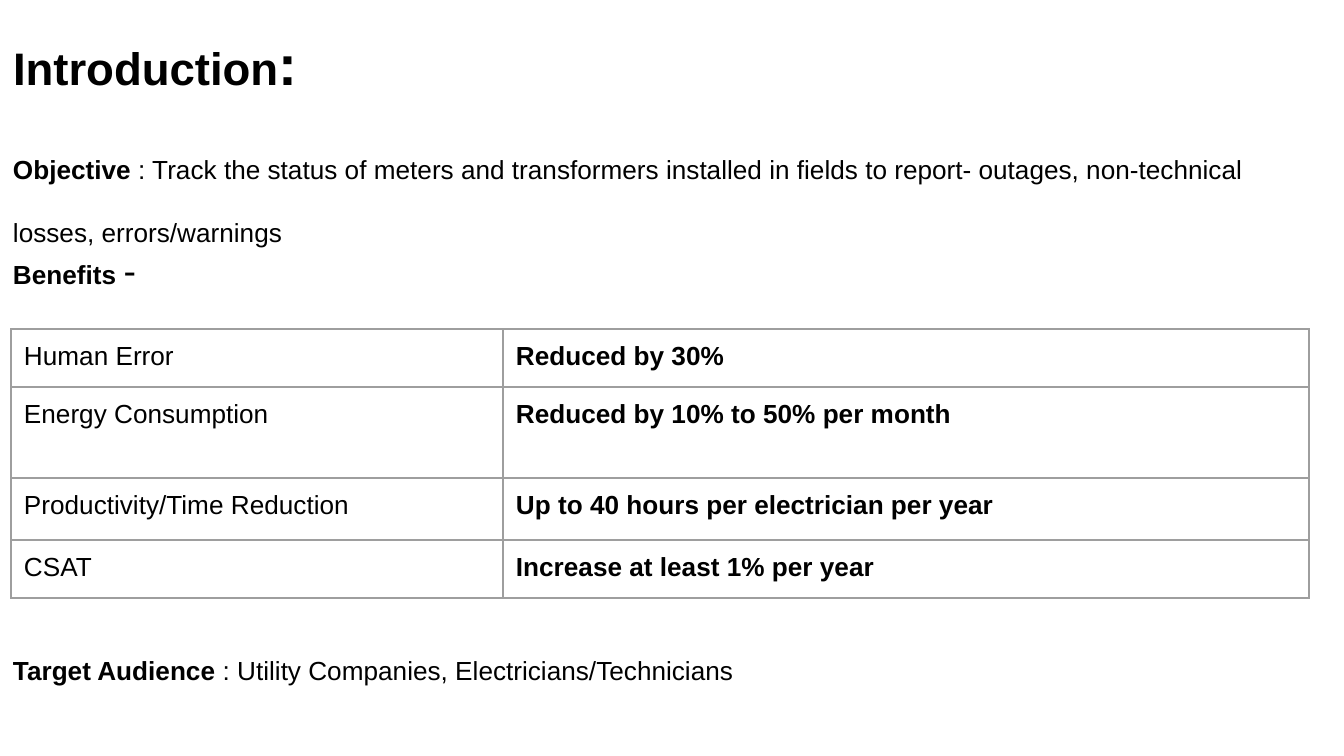
from lxml import etree
from pptx import Presentation
from pptx.dml.color import RGBColor
from pptx.enum.text import MSO_ANCHOR, PP_ALIGN
from pptx.oxml.ns import qn
from pptx.util import Pt

TOP, BOTTOM, LEFT = MSO_ANCHOR.TOP, MSO_ANCHOR.BOTTOM, PP_ALIGN.LEFT
BLACK = RGBColor(0x00, 0x00, 0x00)
GREY = RGBColor(0x9E, 0x9E, 0x9E)
FONT = "Arial"
PX = 914400 / 134.4
INSET = 13

# Each run: text, size in points, bold
TITLE = [("Introduction", 24.4, True), (":", 30.4, True)]
# Each paragraph: runs, line spacing, points of space before
BODY = [
    ([("Objective", 14, True),
      (" : Track the status of meters and transformers installed in fields "
       "to report- outages, non-technical losses, errors/warnings", 14, False)], 2, 0),
    ([("Benefits ", 14, True), ("-", 20, False)], 1, 0),
    ([("Target Audience", 14, True),
      (" : Utility Companies, Electricians/Technicians", 14, False)], 1, 194),
]
# Each row: height in px, benefit, gain
ROWS = [
    (58, "Human Error", "Reduced by 30%"),
    (91, "Energy Consumption", "Reduced by 10% to 50% per month"),
    (62, "Productivity/Time Reduction", "Up to 40 hours per electrician per year"),
    (58, "CSAT", "Increase at least 1% per year"),
]
COLS = (492, 806)


def px(n):
    return round(n * PX)


def box(*sides):
    return [px(n) for n in sides]


def add_runs(para, runs):
    para.alignment = LEFT
    for text, size, bold in runs:
        run = para.add_run()
        run.text = text
        font = run.font
        font.name, font.size, font.bold = FONT, Pt(size), bold
        font.color.rgb = BLACK


def pad(area):
    """Set equal insets on a text frame or a cell."""
    area.margin_left = area.margin_right = px(INSET)
    area.margin_top = area.margin_bottom = px(INSET)


def add_border(cell):
    props = cell._tc.get_or_add_tcPr()
    for i, side in enumerate(("a:lnL", "a:lnR", "a:lnT", "a:lnB")):
        line = etree.Element(qn(side), w=str(Pt(0.75)))
        fill = etree.SubElement(line, qn("a:solidFill"))
        etree.SubElement(fill, qn("a:srgbClr"), val=str(GREY))
        props.insert(i, line)


def add_title(slide):
    title = slide.shapes.title
    title.left, title.top, title.width, title.height = box(0, 15, 1279, 95)
    frame = title.text_frame
    frame.vertical_anchor = BOTTOM
    pad(frame)
    add_runs(frame.paragraphs[0], TITLE)


def add_body(slide):
    frame = slide.shapes.add_textbox(*box(0, 109, 1344, 629)).text_frame
    frame.word_wrap = True
    pad(frame)
    for i, (runs, spacing, before) in enumerate(BODY):
        para = frame.add_paragraph() if i else frame.paragraphs[0]
        para.line_spacing = float(spacing)
        para.space_before = Pt(before)
        add_runs(para, runs)


def add_benefits(slide):
    height = sum(row[0] for row in ROWS)
    sides = box(11, 329, sum(COLS), height)
    table = slide.shapes.add_table(len(ROWS), len(COLS), *sides).table
    table.first_row = table.horz_banding = False
    for col, width in zip(table.columns, COLS):
        col.width = px(width)
    for r, (tall, *texts) in enumerate(ROWS):
        table.rows[r].height = px(tall)
        for c, text in enumerate(texts):
            cell = table.cell(r, c)
            cell.fill.background()
            cell.vertical_anchor = TOP
            pad(cell)
            add_border(cell)
            add_runs(cell.text_frame.paragraphs[0], [(text, 14, c == 1)])


def main():
    deck = Presentation()
    deck.slide_width, deck.slide_height = box(1344, 756)
    slide = deck.slides.add_slide(deck.slide_layouts[5])
    add_title(slide)
    add_body(slide)
    add_benefits(slide)
    deck.save("out.pptx")


if __name__ == "__main__":
    main()
